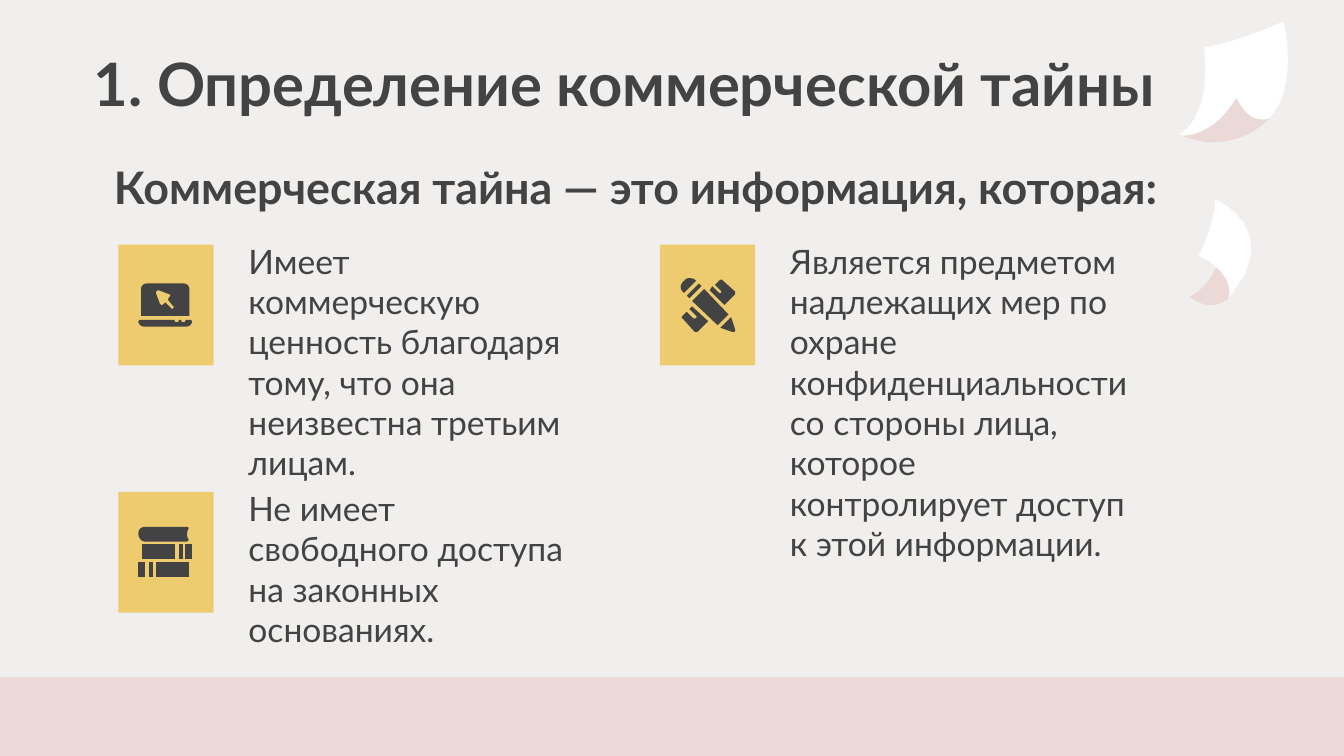
from pptx import Presentation
from pptx.dml.color import RGBColor as RGB
from pptx.enum.shapes import MSO_SHAPE as SHAPE
from pptx.enum.text import MSO_ANCHOR as ANCHOR
from pptx.util import Inches, Pt

COLORS = {"back": "F1EFEE", "rose": "EAD9D6", "gold": "EDCB6E",
          "ink": "434343", "white": "FFFFFF"}
FONT = "Lato"
WIDTH = 10
HEIGHT = WIDTH * 9 / 16
STEPS = 8  # line pieces per curve


def bar(left, top, right, base):
    return [(left, top), (right, top), (right, base), (left, base)]


# Outlines in hundredths of an inch from the box corner:
# two numbers are a corner, six are a cubic curve.
LAPTOP = [
    # Screen with the pointer cut out
    [[(21, 29), (19, 29, 17, 31, 17, 33), (17, 53), (53, 53), (53, 33),
      (53, 31, 51, 29, 49, 29)],
     [(30, 34), (38, 37), (39, 37, 39, 39, 38, 39), (37, 41), (41, 46),
      (42, 46, 42, 47, 41, 47), (41, 47, 41, 48, 40, 48), (35, 43), (33, 45),
      (32, 45), (31, 44), (28, 36), (28, 35, 29, 34, 30, 34)]],
    # Base
    [[(16, 56), (15, 57), (15, 59, 17, 61, 19, 61), (51, 61),
      (53, 61, 55, 59, 55, 57), (54, 56), (50, 56), (50, 57),
      (50, 58, 47, 58, 47, 57), (47, 56), (45, 56), (45, 57),
      (45, 58, 42, 58, 42, 57), (42, 56)]],
]
BOOKS = [
    [[(20, 26), (17, 26, 15, 28, 15, 31), (15, 34, 17, 37, 20, 37), (51, 37),
      (52, 37, 53, 35, 52, 35), (51, 33, 51, 30, 52, 28),
      (53, 27, 52, 26, 51, 26)]],
] + [[bar(*box)] for box in (
    (18, 39, 42, 50), (45, 39, 48, 50), (50, 39, 55, 50),
    (15, 52.5, 20, 63), (23, 52.5, 26, 63), (28, 52.5, 53, 63))]
TOOLS = [
    # Pencil: cap, band, body, tip
    [[(22, 25), (21, 25, 20, 25, 19, 26), (17, 28), (15, 30, 15, 33, 17, 35),
      (18, 36), (27, 27), (26, 26), (25, 25, 23, 25, 22, 25)]],
    [[(29, 29), (20, 38), (22, 40), (31, 31)]],
    [[(33, 33), (24, 42), (43, 60), (51, 52)]],
    [[(53, 54), (45, 62), (54, 65), (56, 65, 56, 65, 56, 63)]],
    # Ruler halves
    [[(45, 26), (41, 30), (45, 34), (46, 35, 46, 36, 45, 36), (44, 36),
      (39, 31), (37, 34), (48, 45), (56, 37), (56, 35), (46, 26)]],
    [[(24, 46), (22, 48), (27, 53), (28, 54, 27, 55, 26, 55), (25, 55),
      (20, 50), (17, 53), (16, 54, 16, 55, 17, 55), (26, 65),
      (27, 65, 27, 65, 28, 65), (36, 57)]],
]
# Flying sheets: left, top, parts from back to front
SHEETS = [
    (8.77, 0.16, [
        ("white", [(78, 0), (78, 0, 90, 47, 68, 72), (68, 72, 49, 89, 22, 89),
                   (15, 89, 8, 87, 0, 84), (0, 84, 25, 75, 19, 19),
                   (21, 19, 39, 17, 78, 0)]),
        ("rose", [(43, 57), (43, 57, 50, 73, 61, 73), (63, 73, 66, 73, 68, 72),
                  (68, 72, 52, 90, 25, 90), (18, 90, 9, 88, 0, 84),
                  (0, 84, 1, 85, 3, 85), (10, 85, 28, 82, 43, 57)])]),
    (8.85, 1.48, [
        ("rose", [(22, 45), (22, 45, 38, 60, 29, 74), (29, 74, 24, 79, 16, 79),
                  (12, 79, 7, 78, 0, 73), (0, 73, 16, 66, 22, 45)]),
        ("white", [(19, 0), (19, 0, 73, 24, 29, 74), (29, 74, 36, 57, 7, 42),
                   (7, 42, 19, 20, 19, 0)])]),
]
# Points: left, top, text width, icon, text
POINTS = [
    (0.88, 1.82, 2.65, LAPTOP, "Имеет коммерческую ценность благодаря тому, "
     "что она неизвестна третьим лицам."),
    (0.88, 3.66, 2.65, BOOKS,
     "Не имеет свободного доступа на законных основаниях."),
    (4.91, 1.82, 2.8, TOOLS, "Является предметом надлежащих мер по охране "
     "конфиденциальности со стороны лица, которое контролирует доступ "
     "к этой информации."),
]


def paint(shape, color):
    shape.shadow.inherit = False
    shape.fill.solid()
    shape.fill.fore_color.rgb = RGB.from_string(COLORS[color])
    shape.line.fill.background()


def add_rect(slide, left, top, width, height, color):
    rect = slide.shapes.add_shape(SHAPE.RECTANGLE, Inches(left), Inches(top),
                                  Inches(width), Inches(height))
    paint(rect, color)


def flatten(outline):
    """Turn corners and curves into a list of points in EMU."""
    dots = []
    for step in outline:
        if len(step) == 2:
            dots.append(step)
            continue
        hull = [dots[-1], step[:2], step[2:4], step[4:]]
        for i in range(1, STEPS + 1):
            t = i / STEPS
            parts = ((1 - t) ** 3, 3 * t * (1 - t) ** 2,
                     3 * t * t * (1 - t), t ** 3)
            dots.append(tuple(sum(w * p[axis] for w, p in zip(parts, hull))
                              for axis in (0, 1)))
    return [(Inches(x / 100), Inches(y / 100)) for x, y in dots]


def add_form(slide, left, top, outlines, color):
    first, *holes = [flatten(outline) for outline in outlines]
    form = slide.shapes.build_freeform(*first[0])
    form.add_line_segments(first[1:], close=True)
    for hole in holes:
        form.move_to(*hole[0])
        form.add_line_segments(hole[1:], close=True)
    paint(form.convert_to_shape(Inches(left), Inches(top)), color)


def add_text(slide, left, top, width, height, text, size, bold=False,
             anchor=ANCHOR.TOP):
    frame = slide.shapes.add_textbox(Inches(left), Inches(top), Inches(width),
                                     Inches(height)).text_frame
    frame.word_wrap = True
    frame.vertical_anchor = anchor
    frame.margin_left = frame.margin_right = Inches(0.1)
    frame.margin_top = frame.margin_bottom = Inches(0.1)
    line = frame.paragraphs[0]
    line.text = text
    line.font.name = FONT
    line.font.size = Pt(size)
    line.font.bold = bold
    line.font.color.rgb = RGB.from_string(COLORS["ink"])


def add_sheet(slide, left, top, parts):
    for color, outline in parts:
        add_form(slide, left, top, [outline], color)


def add_point(slide, left, top, width, icon, text):
    add_rect(slide, left, top, 0.71, 0.9, "gold")
    for outlines in icon:
        add_form(slide, left, top, outlines, "ink")
    add_text(slide, left + 0.87, top - 0.13, width, 0.83, text, 18)


def main():
    deck = Presentation()
    deck.slide_width, deck.slide_height = Inches(WIDTH), Inches(HEIGHT)
    slide = deck.slides.add_slide(deck.slide_layouts[6])
    slide.background.fill.solid()
    slide.background.fill.fore_color.rgb = RGB.from_string(COLORS["back"])

    # Decoration
    add_rect(slide, 0, 5.04, WIDTH, HEIGHT - 5.04, "rose")
    for sheet in SHEETS:
        add_sheet(slide, *sheet)

    # Headings
    add_text(slide, 0.6, 0.25, 8.43, 0.63,
             "1. Определение коммерческой тайны", 32, bold=True)
    add_text(slide, 0.75, 1.16, 8.64, 0.53,
             "Коммерческая тайна — это информация, которая:", 24, bold=True,
             anchor=ANCHOR.BOTTOM)

    # Points
    for point in POINTS:
        add_point(slide, *point)
    deck.save("out.pptx")


if __name__ == "__main__":
    main()
